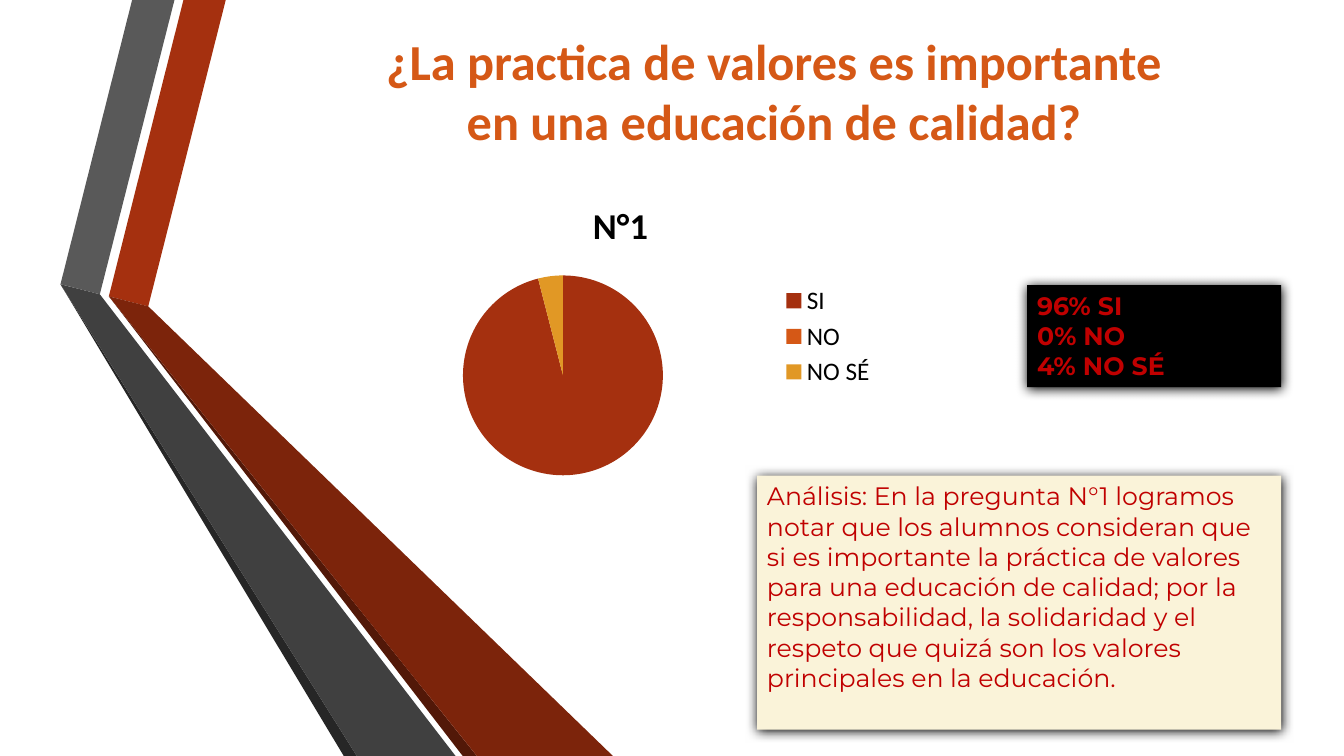
from dataclasses import dataclass

from lxml.etree import SubElement
from pptx import Presentation
from pptx.chart.data import CategoryChartData
from pptx.dml.color import RGBColor
from pptx.enum.chart import XL_CHART_TYPE as ChartType, XL_LEGEND_POSITION as LegendPosition
from pptx.enum.shapes import MSO_SHAPE as ShapeType
from pptx.enum.text import MSO_ANCHOR as Anchor, PP_ALIGN as Align
from pptx.oxml import parse_xml
from pptx.oxml.ns import nsdecls, qn
from pptx.util import Inches, Pt

WIDTH, HEIGHT = Inches(13.33), Inches(7.5)


@dataclass(frozen=True)
class Theme:
    heading_font: str = "Calibri"
    body_font: str = "Montserrat"
    title_size: int = 36
    chart_title_size: int = 26
    body_size: int = 18
    rust: str = "A5300F"
    orange: str = "D55816"
    amber: str = "E19825"
    rust_dark: str = "7C240B"
    rust_edge: str = "521808"
    gray: str = "595959"
    gray_dark: str = "404040"
    gray_edge: str = "262626"
    black: str = "000000"
    cream: str = "FAF3D9"
    red: str = "C00000"


THEME = Theme()

GRAY_OUTER, GRAY_INNER = (4.5, 37.6), (7.43, 38.93)
RUST_OUTER, RUST_INNER = (8.1, 39.2), (11.03, 40.53)
RIBBON_FACETS = [
    (THEME.rust, [RUST_OUTER, RUST_INNER, (16.8, 0), (13.65, 0)]),
    (THEME.gray, [GRAY_INNER, (12.98, 0), (9.83, 0), GRAY_OUTER]),
    (THEME.gray_edge, [GRAY_OUTER, (25.58, 100), (26.55, 100)]),
    (THEME.rust_edge, [RUST_OUTER, (34.43, 100), (35.48, 100)]),
    (THEME.rust_dark, [RUST_OUTER, (35.48, 100), (45.6, 100), RUST_INNER]),
    (THEME.gray_dark, [GRAY_OUTER, (26.55, 100), (33.9, 100), GRAY_INNER]),
]

TITLE = ["¿La practica de valores es importante", "en una educación de calidad?"]
RESULTS = {"SI": 96, "NO": 0, "NO SÉ": 4}
ANALYSIS = (
    "Análisis: En la pregunta N°1 logramos notar que los alumnos consideran que "
    "si es importante la práctica de valores para una educación de calidad; por la "
    "responsabilidad, la solidaridad y el respeto que quizá son los valores "
    "principales en la educación."
)


def place(x, y):
    return round(WIDTH * x / 100), round(HEIGHT * y / 100)


def box(left, top, width, height):
    return *place(left, top), *place(width, height)


def paint(shape, color):
    shape.fill.solid()
    shape.fill.fore_color.rgb = RGBColor.from_string(color)
    shape.line.fill.background()
    shape.shadow.inherit = False


def style_font(font, name, size, color, bold=False):
    font.name = name
    font.size = Pt(size)
    font.bold = bold
    font.color.rgb = RGBColor.from_string(color)


def write(shape, lines, align, name, size, color, bold=False):
    text_frame = shape.text_frame
    text_frame.word_wrap = True
    text_frame.vertical_anchor = Anchor.TOP
    text_frame.text = "\n".join(lines)
    for paragraph in text_frame.paragraphs:
        paragraph.alignment = align
        for run in paragraph.runs:
            style_font(run.font, name, size, color, bold)


def add_facet(slide, color, points):
    start, *others = [place(*point) for point in points]
    builder = slide.shapes.build_freeform(*start)
    builder.add_line_segments(others, close=True)
    paint(builder.convert_to_shape(), color)


def add_title(slide, area, lines):
    shape = slide.shapes.add_textbox(*box(*area))
    write(shape, lines, Align.CENTER, THEME.heading_font, THEME.title_size, THEME.orange, True)


def add_panel(slide, area, fill, lines, bold=False):
    shape = slide.shapes.add_shape(ShapeType.RECTANGLE, *box(*area))
    paint(shape, fill)
    effects = shape._element.spPr.find(qn("a:effectLst"))
    shadow = SubElement(effects, qn("a:outerShdw"), blurRad=str(Pt(8.5)), dist=str(Pt(1)),
                        dir="5400000", algn="ctr", rotWithShape="0")
    SubElement(shadow, qn("a:srgbClr"), val=THEME.black)
    write(shape, lines, Align.LEFT, THEME.body_font, THEME.body_size, THEME.red, bold)


def manual_layout(target="", **shares):
    modes = "".join(f'<c:{axis}Mode val="edge"/>' for axis in "xy")
    values = "".join(f'<c:{name} val="{share}"/>' for name, share in shares.items())
    return parse_xml(f'<c:layout {nsdecls("c")}><c:manualLayout>{target}{modes}{values}'
                     "</c:manualLayout></c:layout>")


def add_pie(slide, area, title, results, colors):
    data = CategoryChartData()
    data.categories = results.keys()
    data.add_series(title, results.values())
    chart = slide.shapes.add_chart(ChartType.PIE, *box(*area), data).chart
    style_font(chart.font, THEME.heading_font, THEME.body_size, THEME.black)

    chart.has_title = True
    chart.chart_title.text_frame.text = title
    title_run = chart.chart_title.text_frame.paragraphs[0].runs[0]
    style_font(title_run.font, THEME.heading_font, THEME.chart_title_size, THEME.black, True)

    plot = chart.plots[0]
    plot.vary_by_categories = True
    for index, color in enumerate(colors):
        fill = plot.series[0].points[index].format.fill
        fill.solid()
        fill.fore_color.rgb = RGBColor.from_string(color)

    chart.has_legend = True
    chart.legend.position = LegendPosition.RIGHT
    chart.legend.include_in_layout = False
    legend = chart.legend._element
    for layout in legend.findall(qn("c:layout")):
        legend.remove(layout)
    legend.find(qn("c:legendPos")).addnext(manual_layout(x=0.76, y=0.32))

    plot_area = chart._chartSpace.chart.plotArea
    for layout in plot_area.findall(qn("c:layout")):
        plot_area.remove(layout)
    inner = '<c:layoutTarget val="inner"/>'
    plot_area.insert(0, manual_layout(inner, x=0.24, y=0.3, w=0.33, h=0.66))


def main():
    presentation = Presentation()
    presentation.slide_width, presentation.slide_height = WIDTH, HEIGHT
    slide = presentation.slides.add_slide(presentation.slide_layouts[6])

    for color, points in RIBBON_FACETS:
        add_facet(slide, color, points)
    add_pie(slide, (23.63, 24.13, 45.08, 40.53), "N°1", RESULTS,
            [THEME.rust, THEME.orange, THEME.amber])
    add_title(slide, (19.88, 3.33, 75.45, 17.47), TITLE)
    answers = [f"{share}% {answer}" for answer, share in RESULTS.items()]
    add_panel(slide, (76.43, 37.73, 18.9, 13.47), THEME.black, answers, bold=True)
    add_panel(slide, (56.33, 62.93, 39, 33.6), THEME.cream, [ANALYSIS])

    presentation.save("out.pptx")


if __name__ == "__main__":
    main()
